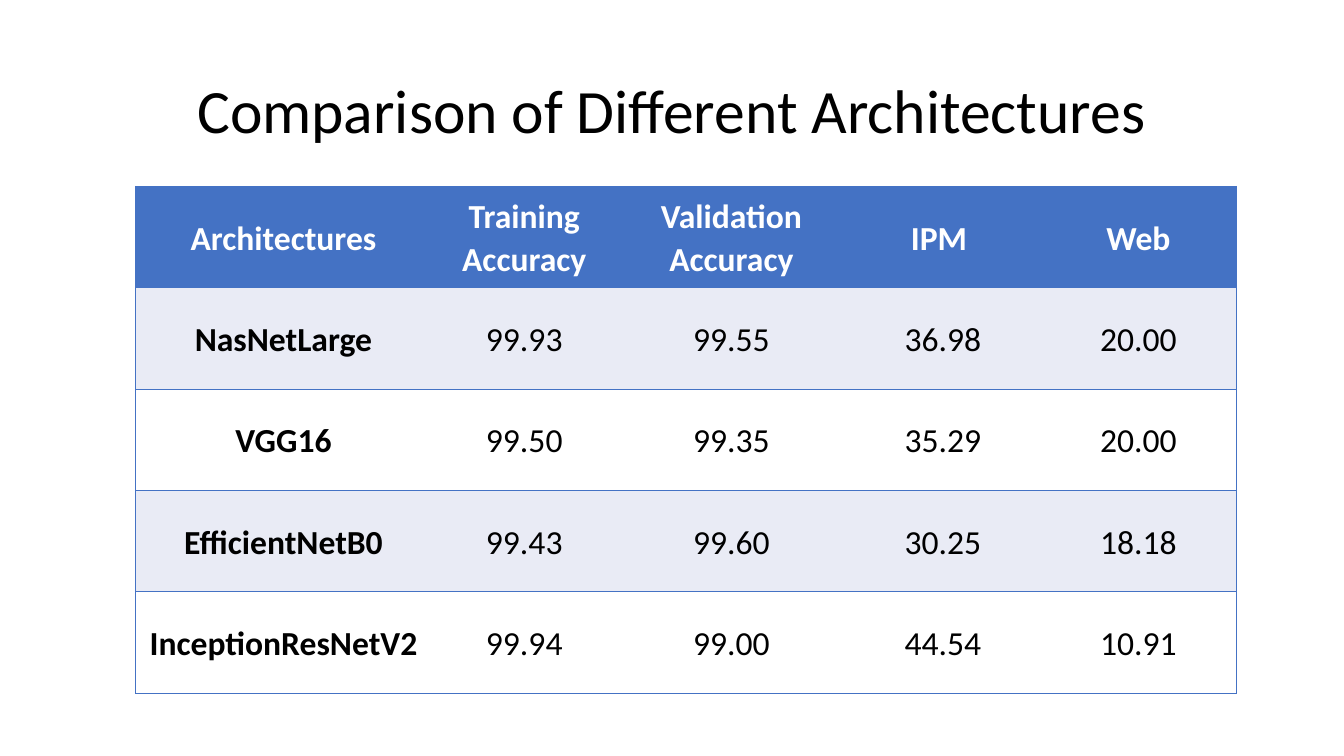
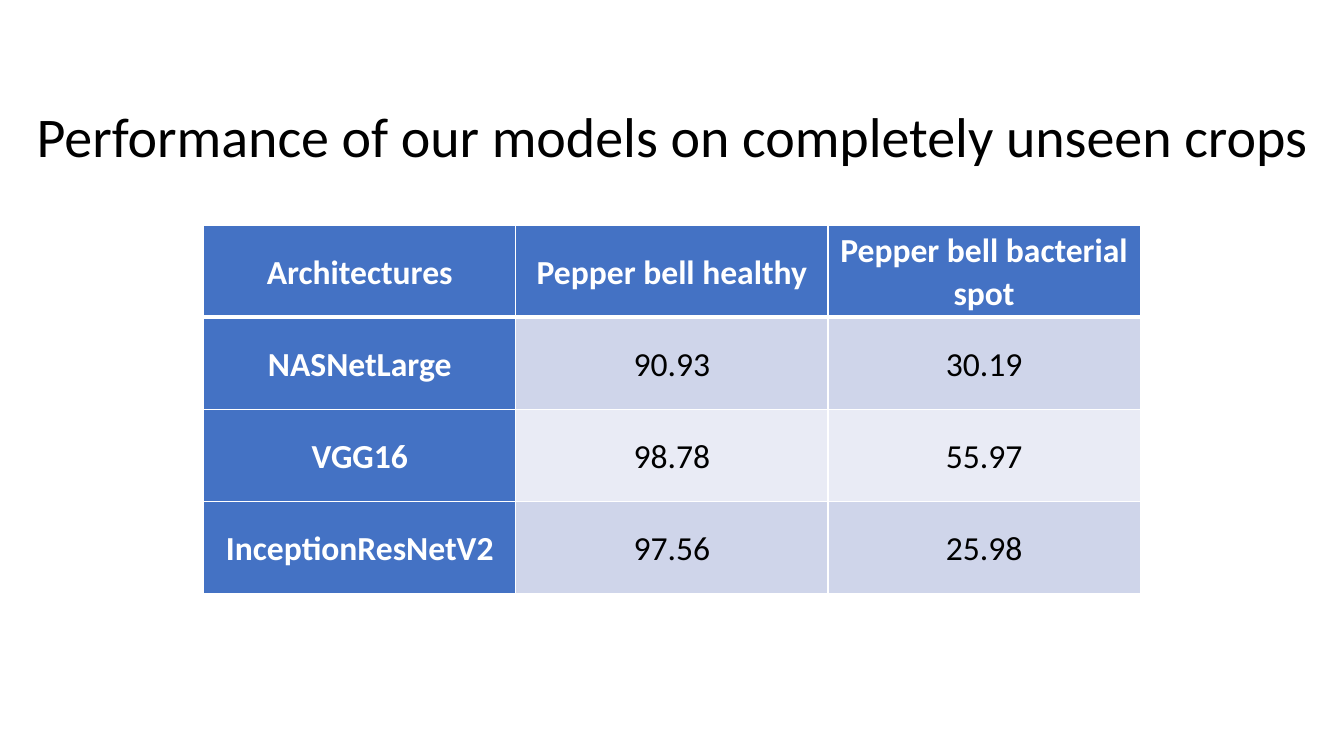
from lxml.etree import SubElement
from pptx import Presentation
from pptx.dml.color import RGBColor
from pptx.enum.text import MSO_ANCHOR, PP_ALIGN
from pptx.oxml.ns import qn
from pptx.util import Pt

FONT = "Calibri"
BLUE, PALE, MID = "4472C4", "E9EBF5", "CFD5EA"
WHITE, BLACK = "FFFFFF", "000000"


def rgb(color):
    return RGBColor.from_string(color)


class Deck:
    """Shared style and the current slide."""

    def __init__(self):
        self.prs = Presentation()
        self.prs.slide_width, self.prs.slide_height = Pt(960), Pt(540)
        self.s = None

    def slide(self):
        self.s = self.prs.slides.add_slide(self.prs.slide_layouts[6])

    def add_text(self, tf, text, size, color, bold=False, spacing=1.0):
        p = tf.paragraphs[0]
        p.alignment, p.line_spacing = PP_ALIGN.CENTER, spacing
        r = p.add_run()
        r.text = text
        r.font.name, r.font.size, r.font.bold = FONT, Pt(size), bold
        r.font.color.rgb = rgb(color)

    def title(self, text, left, top, width, size):
        sp = self.s.shapes.add_textbox(Pt(left), Pt(top), Pt(width), Pt(104.4))
        tf = sp.text_frame
        tf.word_wrap, tf.vertical_anchor = True, MSO_ANCHOR.MIDDLE
        self.add_text(tf, text, size, BLACK, spacing=0.9)

    def borders(self, cell, sides):
        """Set the left, right, top and bottom lines as (color, width) or None."""
        tcPr = cell._tc.get_or_add_tcPr()
        for i, (side, line) in enumerate(zip("LRTB", sides)):
            color, width = line or (None, 0)
            ln = SubElement(tcPr, qn(f"a:ln{side}"), w=str(Pt(width)))
            if color:
                fill = SubElement(ln, qn("a:solidFill"))
                SubElement(fill, qn("a:srgbClr"), val=color)
            else:
                SubElement(ln, qn("a:noFill"))
            tcPr.insert(i, ln)

    def table(self, rows, left, top, widths, row_height, bands, sides, blue_names=False):
        """bands are the alternating row fills; sides(row, column) gives the lines."""
        frame = self.s.shapes.add_table(
            len(rows), len(widths), Pt(left), Pt(top),
            Pt(sum(widths)), Pt(row_height * len(rows)))
        tbl = frame.table
        tbl.horz_banding = tbl.first_row = False
        for col, width in zip(tbl.columns, widths):
            col.width = Pt(width)
        for i, row in enumerate(rows):
            tbl.rows[i].height = Pt(row_height)
            for j, text in enumerate(row):
                cell = tbl.cell(i, j)
                strong = i == 0 or (blue_names and j == 0)
                cell.fill.solid()
                cell.fill.fore_color.rgb = rgb(BLUE if strong else bands[(i - 1) % 2])
                cell.vertical_anchor = MSO_ANCHOR.MIDDLE
                cell.margin_left = cell.margin_right = Pt(5)
                cell.margin_top = cell.margin_bottom = 0
                self.add_text(cell.text_frame, text, 24, WHITE if strong else BLACK,
                              bold=i == 0 or j == 0, spacing=1.07)
                self.borders(cell, sides(i, j))


def main():
    deck = Deck()

    # Comparison of architectures: blue frame and row lines
    deck.slide()
    deck.title("Comparison of Different Architectures", 66, 28.8, 828, 44)
    accuracy = [
        ("Architectures", "Training Accuracy", "Validation Accuracy", "IPM ", "Web"),
        ("NasNetLarge", "99.93", "99.55", "36.98", "20.00"),
        ("VGG16", "99.50", "99.35", "35.29", "20.00"),
        ("EfficientNetB0", "99.43", "99.60", "30.25", "18.18"),
        ("InceptionResNetV2", "99.94", "99.00", "44.54", "10.91"),
    ]
    widths = [211, 133, 163, 139, 140.4]
    blue = (BLUE, 1)

    def framed(i, j):
        return (blue if j == 0 else None,
                blue if j == len(widths) - 1 else None, blue, blue)

    deck.table(accuracy, 97, 133.2, widths, 72.4, (PALE, WHITE), framed)

    # Unseen crops: white grid with a thick line under the header
    deck.slide()
    deck.title("Performance of our models on completely unseen crops", 0, 47.5, 960, 40)
    unseen = [
        ("Architectures", "Pepper bell healthy", "Pepper bell bacterial spot"),
        ("NASNetLarge", "90.93", "30.19"),
        ("VGG16", "98.78", "55.97"),
        ("InceptionResNetV2", "97.56", "25.98"),
    ]
    thin, thick = (WHITE, 1), (WHITE, 3)

    def grid(i, j):
        return thin, thin, thick if i == 1 else thin, thick if i == 0 else thin

    deck.table(unseen, 145.5, 160.8, [223] * 3, 65.8, (MID, PALE), grid, blue_names=True)

    deck.prs.save("out.pptx")


if __name__ == "__main__":
    main()
